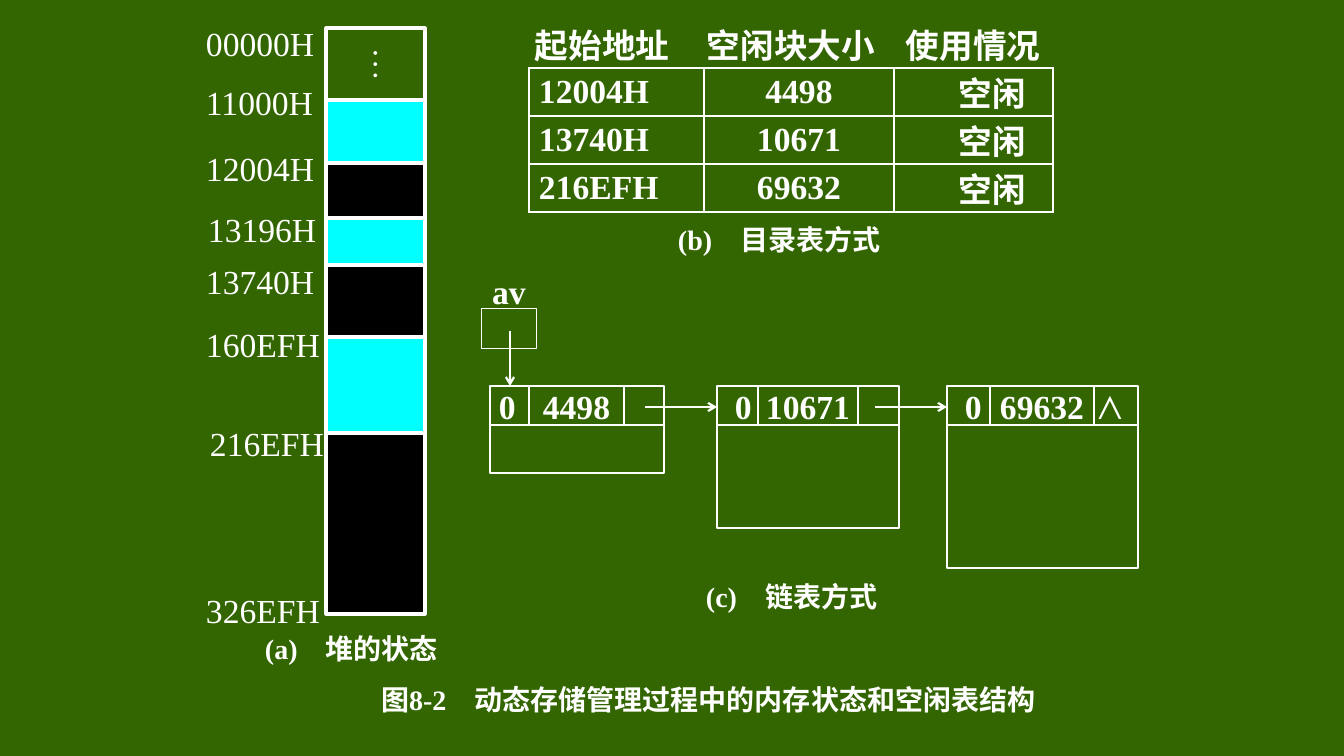
from dataclasses import dataclass
from itertools import pairwise

from lxml import etree
from pptx import Presentation
from pptx.dml.color import RGBColor
from pptx.enum.shapes import MSO_CONNECTOR, MSO_SHAPE
from pptx.enum.text import MSO_ANCHOR, PP_ALIGN
from pptx.oxml.ns import qn
from pptx.util import Emu, Pt

RECTANGLE = MSO_SHAPE.RECTANGLE
STRAIGHT = MSO_CONNECTOR.STRAIGHT
MIDDLE = MSO_ANCHOR.MIDDLE
LEFT, CENTER = PP_ALIGN.LEFT, PP_ALIGN.CENTER
PX_PER_INCH = 100.8


@dataclass(frozen=True)
class Theme:
    board: str = "336600"
    chalk: str = "FFFFFF"
    used: str = "00FFFF"
    free: str = "000000"
    font: str = "Times New Roman"
    body: int = 24
    caption: int = 20
    thin: float = 0.75
    line: float = 1.5
    thick: float = 2.25


def px(length):
    return Emu(round(length * 914400 / PX_PER_INCH))


def assign(target, values):
    for name, value in values.items():
        setattr(target, name, value)


class Board:
    def __init__(self, slide, theme):
        self.slide = slide
        self.theme = theme
        backdrop = slide.background.fill
        backdrop.solid()
        backdrop.fore_color.rgb = RGBColor.from_string(theme.board)

    def fill_frame(self, frame, text, size, bold, align):
        assign(frame, {"word_wrap": True, "vertical_anchor": MIDDLE,
                       "margin_left": 0, "margin_right": 0,
                       "margin_top": 0, "margin_bottom": 0})
        self.fill_paragraph(frame.paragraphs[0], text, size, bold, align)

    def fill_paragraph(self, paragraph, text, size, bold, align):
        paragraph.alignment = align
        run = paragraph.add_run()
        run.text = text
        assign(run.font, {"name": self.theme.font, "size": Pt(size), "bold": bold})
        run.font.color.rgb = RGBColor.from_string(self.theme.chalk)

    def stroke(self, line, weight):
        line.color.rgb = RGBColor.from_string(self.theme.chalk)
        line.width = Pt(weight)

    def label(self, left, middle, width, text, size=None, bold=True, align=LEFT):
        box = self.slide.shapes.add_textbox(px(left), px(middle - 22), px(width), px(44))
        self.fill_frame(box.text_frame, text, size or self.theme.body, bold, align)

    def caption(self, left, middle, width, text):
        self.label(left, middle, width, text, self.theme.caption)

    def box(self, left, top, width, height, weight, fill=None, text=None):
        block = self.slide.shapes.add_shape(
            RECTANGLE, px(left), px(top), px(width), px(height))
        block.shadow.inherit = False
        self.stroke(block.line, weight)
        if fill:
            block.fill.solid()
            block.fill.fore_color.rgb = RGBColor.from_string(fill)
        else:
            block.fill.background()
        if text:
            self.fill_frame(block.text_frame, text, self.theme.body, False, CENTER)

    def connect(self, start, end, arrow=False):
        link = self.slide.shapes.add_connector(STRAIGHT, *map(px, (*start, *end)))
        self.stroke(link.line, self.theme.line)
        properties = link._element.spPr
        if arrow:
            etree.SubElement(properties.find(qn("a:ln")), qn("a:tailEnd"), type="arrow")
        etree.SubElement(properties, qn("a:effectLst"))

    def border(self, cell, sides):
        properties = cell._tc.get_or_add_tcPr()
        for position, side in enumerate("LRTB"):
            edge = etree.Element(qn(f"a:ln{side}"), w=str(Pt(self.theme.line)))
            if side in sides:
                paint = etree.SubElement(edge, qn("a:solidFill"))
                etree.SubElement(paint, qn("a:srgbClr"), val=self.theme.chalk)
            else:
                etree.SubElement(edge, qn("a:noFill"))
            properties.insert(position, edge)

    def table(self, left, top, widths, heights, rows, header_indents, body_indents):
        grid = self.slide.shapes.add_table(
            len(rows), len(widths), px(left), px(top),
            px(sum(widths)), px(sum(heights))).table
        assign(grid, {"first_row": False, "horz_banding": False})
        for column, width in zip(grid.columns, widths):
            column.width = px(width)
        for row, height in zip(grid.rows, heights):
            row.height = px(height)
        for r, row in enumerate(rows):
            indents = body_indents if r else header_indents
            for c, (text, indent) in enumerate(zip(row, indents)):
                cell = grid.cell(r, c)
                assign(cell, {"margin_left": px(indent or 0), "margin_right": 0,
                              "margin_top": px(3), "margin_bottom": 0,
                              "vertical_anchor": MIDDLE})
                cell.fill.background()
                self.border(cell, "LRTB" if r else "B")
                paragraph = cell.text_frame.paragraphs[0]
                paragraph.line_spacing = 0.9
                align = CENTER if indent is None else LEFT
                self.fill_paragraph(paragraph, text, self.theme.body, True, align)


def draw_heap(board):
    theme = board.theme
    edges = [28, 100, 163, 218, 265, 337, 433, 614]
    fills = [None, theme.used, theme.free, theme.used, theme.free, theme.used, theme.free]
    for (top, bottom), fill in zip(pairwise(edges), fills):
        board.box(326, top, 99, bottom - top, theme.thick, fill, None if fill else "⋮")
    addresses = [("00000H", 206, 43), ("11000H", 206, 102), ("12004H", 206, 168),
                 ("13196H", 208, 229), ("13740H", 206, 281), ("160EFH", 206, 344),
                 ("216EFH", 210, 443), ("326EFH", 206, 610)]
    for address, left, middle in addresses:
        board.label(left, middle, 120, address, bold=False)
    board.caption(265, 648, 220, "(a)　堆的状态")


def draw_directory(board):
    rows = [("起始地址", "空闲块大小", "使用情况"),
            ("12004H", "4498", "空闲"),
            ("13740H", "10671", "空闲"),
            ("216EFH", "69632", "空闲")]
    board.table(529, 20, [175, 190, 159], [48] * 4, rows, (6, 3, 12), (10, None, 65))
    board.caption(678, 239, 240, "(b)　目录表方式")


def draw_free_list(board):
    top, head, middle = 386, 39, 406
    board.label(489, 291, 40, "av", align=CENTER)
    board.box(482, 309, 55, 40, board.theme.thin)
    board.connect((510, 331), (510, top), arrow=True)
    nodes = [(490, 174, 48, (529, 624), 499, "4498"),
             (717, 182, 103, (758, 858), 735, "10671"),
             (947, 191, 143, (990, 1094), 965, "69632")]
    for left, width, body, dividers, tag_left, size in nodes:
        board.box(left, top + head, width, body, board.theme.line)
        board.box(left, top, width, head, board.theme.line)
        for x in dividers:
            board.connect((x, top), (x, top + head))
        board.label(tag_left, middle, 24, "0")
        board.label(dividers[0], middle, dividers[1] - dividers[0], size, align=CENTER)
    for target in nodes[1:]:
        board.connect((target[0] - 72, 407), (target[0], 407), arrow=True)
    board.label(1098, middle, 30, "⋀", bold=False)
    board.caption(706, 596, 220, "(c)　链表方式")


def main():
    deck = Presentation()
    assign(deck, {"slide_width": px(1344), "slide_height": px(756)})
    board = Board(deck.slides.add_slide(deck.slide_layouts[6]), Theme())
    draw_heap(board)
    draw_directory(board)
    draw_free_list(board)
    board.caption(381, 699, 690, "图8-2　动态存储管理过程中的内存状态和空闲表结构")
    deck.save("out.pptx")


if __name__ == "__main__":
    main()
